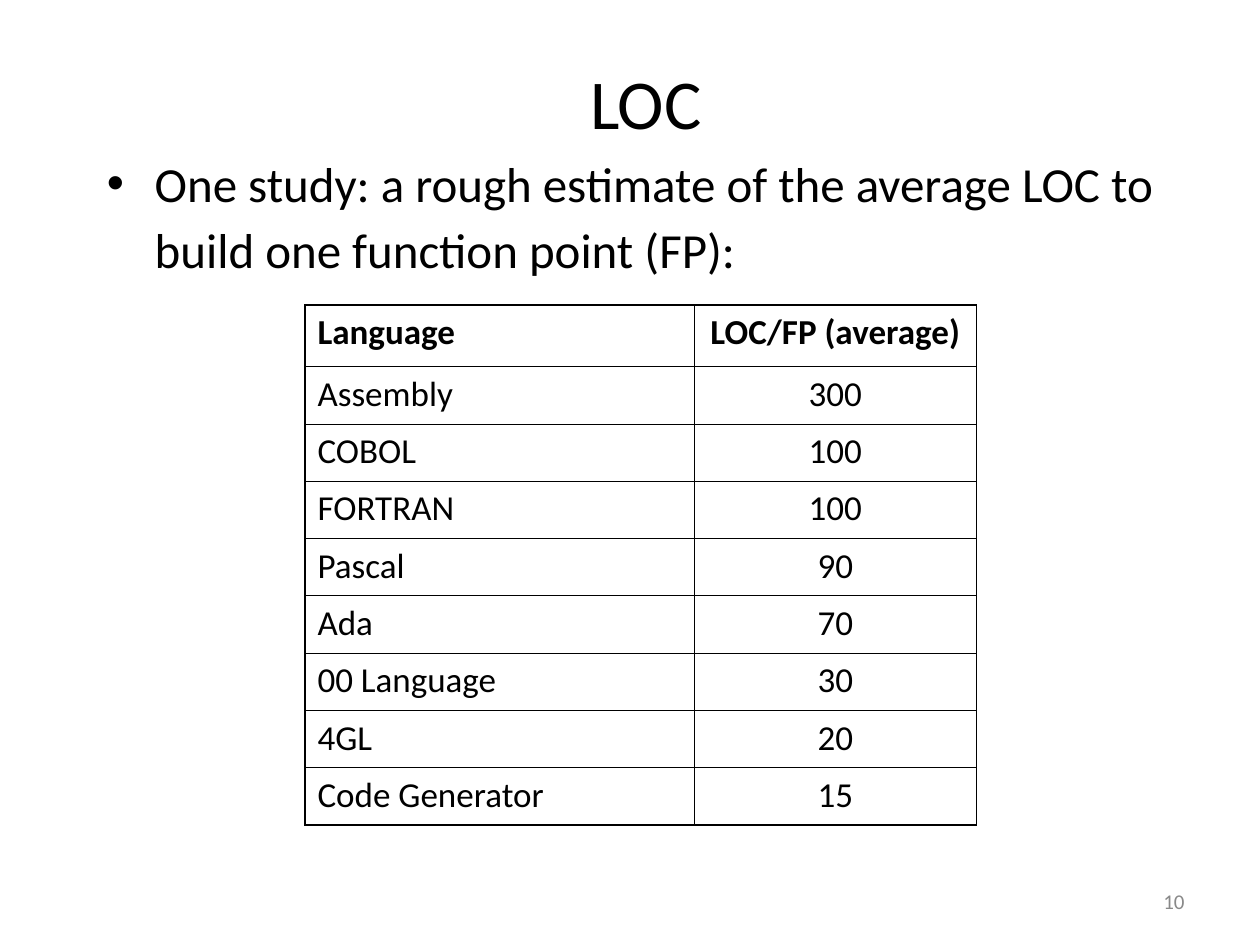
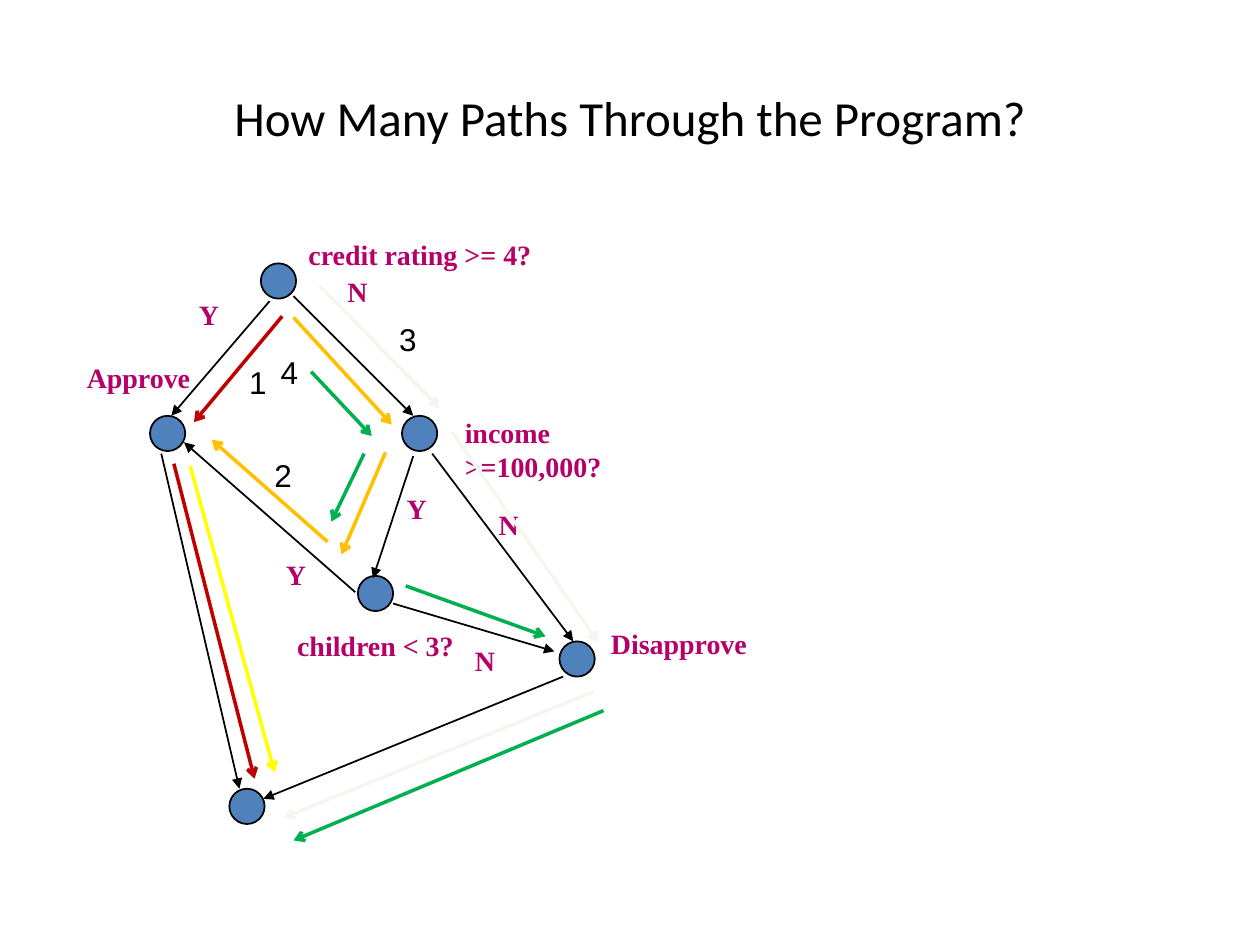
from typing import NamedTuple

import lxml.etree
import pptx
import pptx.dml.color
import pptx.enum.shapes
import pptx.enum.text
import pptx.oxml.ns
import pptx.util

Inches = pptx.util.Inches
Pt = pptx.util.Pt
Align = pptx.enum.text.PP_ALIGN
Anchor = pptx.enum.text.MSO_ANCHOR
qn = pptx.oxml.ns.qn

BLACK = "000000"
GREY = "898989"
BLUE = "4F81BD"
THIN, THICK = 0.45, 1.08
NODE = 0.28


class Style(NamedTuple):
    size: float
    font: str = "Calibri"
    color: str = BLACK
    bold: bool = False


class Box(NamedTuple):
    left: float
    top: float
    width: float
    height: float


class Label(NamedTuple):
    text: str
    left: float
    top: float
    width: float = 0.36


class Line(NamedTuple):
    x1: float
    y1: float
    x2: float
    y2: float
    color: str = BLACK
    width: float = 1
    head: str = "triangle"


class Path(NamedTuple):
    label: Label
    color: str
    lines: list[tuple[float, float, float, float]]


HEAD = Style(40)
TITLE = Style(28)
BODY = Style(28)
CELL = Style(20)
CELL_HEAD = Style(20, bold=True)
PAGE = Style(12, color=GREY)
TAG = Style(16, "Times New Roman", "B50069", True)
COUNT = Style(18, "Arial")

RATES = [
    ("Language", "LOC/FP (average)"),
    ("Assembly", "300"),
    ("COBOL", "100"),
    ("FORTRAN", "100"),
    ("Pascal", "90"),
    ("Ada", "70"),
    ("00 Language", "30"),
    ("4GL", "20"),
    ("Code Generator", "15"),
]

NODES = [(1.82, 6.26), (2.07, 2.09), (2.84, 4.57),
         (3.19, 3.3), (4.44, 5.09), (1.19, 3.3)]

EDGES = [
    Line(2.33, 2.35, 3.28, 3.3),
    Line(2.14, 2.39, 1.36, 3.3),
    Line(3.28, 3.62, 2.96, 4.59),
    Line(2.82, 4.7, 1.46, 3.51),
    Line(1.28, 3.6, 1.9, 6.26),
    Line(3.43, 3.6, 4.55, 5.09),
    Line(3.12, 4.79, 4.4, 5.17),
    Line(4.47, 5.37, 2.09, 6.34),
]

TAGS = [
    Label("credit rating >= 4?", 2.35, 1.84, 1.97),
    Label("Disapprove", 4.75, 4.92, 1.28),
    Label("Approve", 0.59, 2.81, 1.02),
    Label("income >=100,000?", 3.59, 3.25, 2.01),
    Label("children < 3?", 2.26, 4.94, 1.45),
    Label("Y", 2.17, 4.38),
    Label("Y", 3.13, 3.85),
    Label("Y", 1.48, 2.31),
    Label("N", 3.67, 5.06),
    Label("N", 3.86, 3.98),
    Label("N", 2.66, 2.13),
]

PATHS = [
    Path(Label("1", 1.88, 2.83, 0.34), "C00000",
         [(2.24, 2.51, 1.54, 3.35), (1.38, 3.68, 2.02, 6.18)]),
    Path(Label("3", 3.07, 2.49, 0.34), "F6F6F0",
         [(2.54, 2.27, 3.49, 3.24), (3.59, 3.43, 4.75, 5.1),
          (4.71, 5.49, 2.25, 6.49)]),
    Path(Label("2", 2.08, 3.57, 0.34), "FFC000",
         [(2.33, 2.52, 3.11, 3.37), (3.06, 3.59, 2.71, 4.4),
          (2.6, 4.3, 1.68, 3.49)]),
    Path(Label("4", 2.13, 2.75, 0.34), "00B050",
         [(2.47, 2.95, 2.95, 3.46), (2.89, 3.6, 2.63, 4.14),
          (3.22, 4.65, 4.33, 5.05), (4.79, 5.64, 2.33, 6.67)]),
]
LAST_LEG = Line(1.51, 3.7, 2.18, 6.13, "FFFF00", 2, "arrow")


def rgb(color: str) -> pptx.dml.color.RGBColor:
    return pptx.dml.color.RGBColor.from_string(color)


def add_run(para, text: str, style: Style) -> None:
    run = para.add_run()
    run.text = text
    font = run.font
    font.name, font.size, font.bold = style.font, Pt(style.size), style.bold
    font.color.rgb = rgb(style.color)


def add_text(shapes, box: Box, text: str, style: Style,
             align=Align.LEFT, anchor=Anchor.TOP, wrap: bool = True):
    """Draw a text box and return its paragraph."""
    frame = shapes.add_textbox(*map(Inches, box)).text_frame
    frame.word_wrap = wrap
    if not wrap:
        frame.auto_size = pptx.enum.text.MSO_AUTO_SIZE.SHAPE_TO_FIT_TEXT
    frame.vertical_anchor = anchor
    para = frame.paragraphs[0]
    para.alignment = align
    add_run(para, text, style)
    return para


def add_label(shapes, label: Label, style: Style, height: float) -> None:
    box = Box(label.left, label.top, label.width, height)
    add_text(shapes, box, label.text, style, wrap=False)


def add_line(shapes, line: Line) -> None:
    kind = pptx.enum.shapes.MSO_CONNECTOR.STRAIGHT
    link = shapes.add_connector(kind, *map(Inches, line[:4]))
    link.line.color.rgb = rgb(line.color)
    link.line.width = Pt(line.width)
    tail = lxml.etree.SubElement(link.line._get_or_add_ln(), qn("a:tailEnd"))
    tail.set("type", line.head)
    lxml.etree.SubElement(link._element.spPr, qn("a:effectLst"))


def add_node(shapes, left: float, top: float) -> None:
    kind = pptx.enum.shapes.MSO_SHAPE.OVAL
    node = shapes.add_shape(kind, *map(Inches, (left, top, NODE, NODE)))
    node.shadow.inherit = False
    node.fill.solid()
    node.fill.fore_color.rgb = rgb(BLUE)
    node.line.color.rgb = rgb(BLACK)
    node.line.width = Pt(1)


def add_bullet(para, indent: float) -> None:
    props = para._p.get_or_add_pPr()
    props.set("marL", str(Inches(indent)))
    props.set("indent", str(Inches(-indent)))
    lxml.etree.SubElement(props, qn("a:buFont")).set("typeface", "Arial")
    lxml.etree.SubElement(props, qn("a:buChar")).set("char", "•")


def set_border(cell, side: str, width: float) -> None:
    props = cell._tc.get_or_add_tcPr()
    line = lxml.etree.SubElement(props, qn(f"a:ln{side}"))
    line.set("w", str(Pt(width)))
    fill = lxml.etree.SubElement(line, qn("a:solidFill"))
    lxml.etree.SubElement(fill, qn("a:srgbClr")).set("val", BLACK)


def add_rates(shapes, box: Box) -> None:
    """Draw the language table with a heavier outer frame."""
    rows, cols = len(RATES), len(RATES[0])
    table = shapes.add_table(rows, cols, *map(Inches, box)).table
    table.first_row = table.horz_banding = False
    for col, width in zip(table.columns, (3.09, 2.24)):
        col.width = Inches(width)
    for i, values in enumerate(RATES):
        table.rows[i].height = Inches(0.455 if i else 0.49)
        for j, value in enumerate(values):
            cell = table.cell(i, j)
            edges = {"L": j == 0, "R": j == cols - 1,
                     "T": i == 0, "B": i == rows - 1}
            for side, outer in edges.items():
                set_border(cell, side, THICK if outer else THIN)
            cell.fill.background()
            para = cell.text_frame.paragraphs[0]
            para.alignment = Align.CENTER if j else Align.LEFT
            add_run(para, value, CELL if i else CELL_HEAD)


def build_loc(shapes) -> None:
    add_text(shapes, Box(7.17, 6.95, 2.33, 0.4), "10", PAGE,
             Align.RIGHT, Anchor.MIDDLE)
    study = add_text(
        shapes, Box(0.75, 1.17, 8.5, 1.2),
        "One study: a rough estimate of the average LOC to build one "
        "function point (FP):", BODY)
    add_run(study, " ", Style(32))
    add_bullet(study, 0.38)
    add_rates(shapes, Box(2.42, 2.42, 5.33, 4.13))
    add_text(shapes, Box(1.25, 0.42, 7.75, 0.77), "LOC", HEAD, Align.CENTER)


def build_paths(shapes) -> None:
    add_text(shapes, Box(0.5, 0.3, 9, 1.25),
             "How Many Paths Through the Program?", TITLE,
             Align.CENTER, Anchor.MIDDLE)
    for node in NODES:
        add_node(shapes, *node)
    for edge in EDGES:
        add_line(shapes, edge)
    for tag in TAGS:
        add_label(shapes, tag, TAG, 0.36)
    for path in PATHS:
        group = shapes.add_group_shape().shapes
        for ends in path.lines:
            add_line(group, Line(*ends, path.color, 2, "arrow"))
        add_label(group, path.label, COUNT, 0.4)
    add_line(shapes, LAST_LEG)


def main() -> None:
    deck = pptx.Presentation()
    deck.slide_width, deck.slide_height = Inches(10), Inches(7.5)
    for build in (build_loc, build_paths):
        build(deck.slides.add_slide(deck.slide_layouts[6]).shapes)
    deck.save("out.pptx")


if __name__ == "__main__":
    main()
